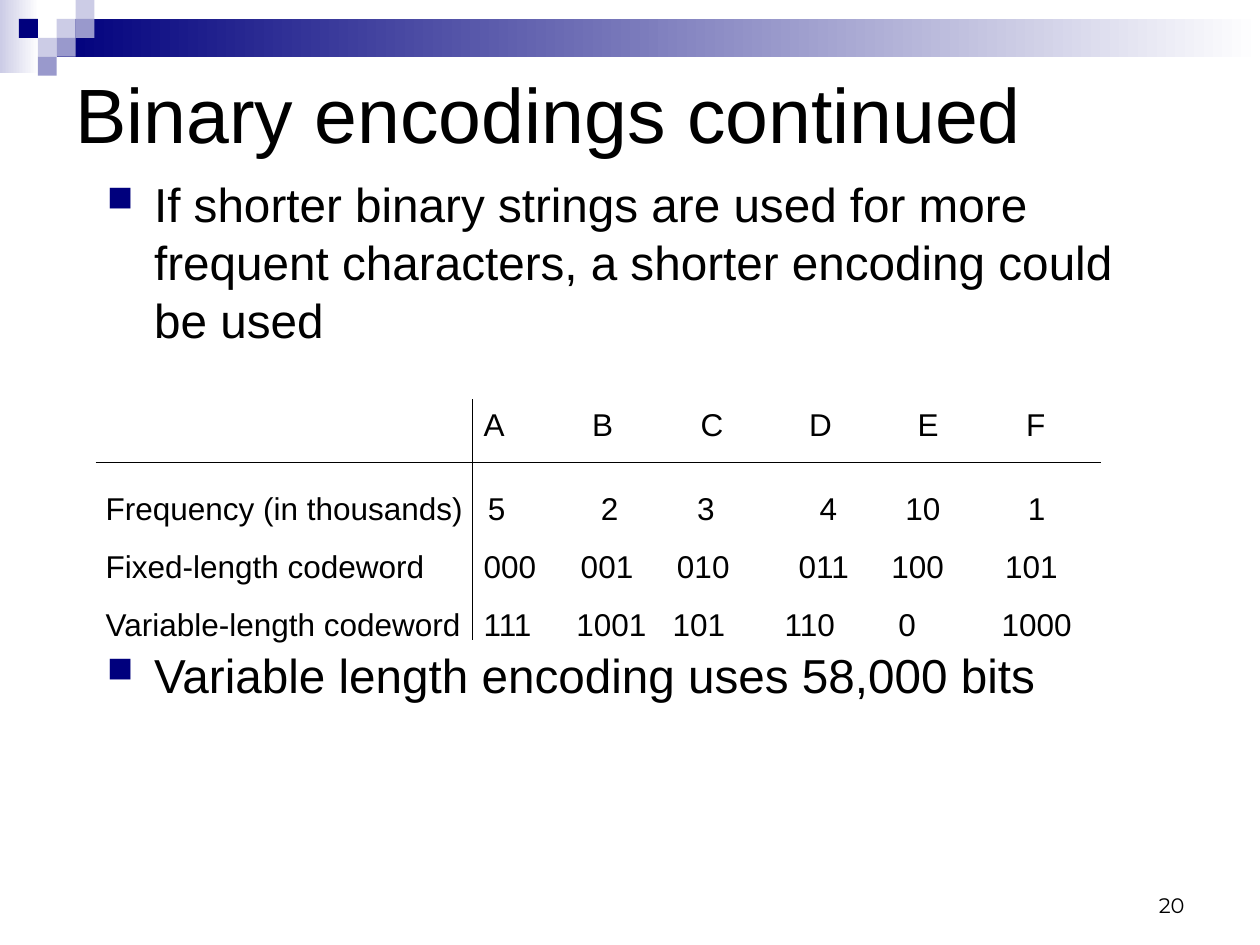
from lxml import etree
from pptx import Presentation
from pptx.dml.color import RGBColor
from pptx.enum.shapes import MSO_CONNECTOR, MSO_SHAPE
from pptx.enum.text import MSO_ANCHOR, PP_ALIGN
from pptx.oxml.ns import qn
from pptx.util import Pt

RECTANGLE = MSO_SHAPE.RECTANGLE
STRAIGHT = MSO_CONNECTOR.STRAIGHT
TOP, BOTTOM = MSO_ANCHOR.TOP, MSO_ANCHOR.BOTTOM
LEFT, RIGHT = PP_ALIGN.LEFT, PP_ALIGN.RIGHT

NAVY = RGBColor(0x00, 0x00, 0x7D)
LAVENDER = RGBColor(0xCC, 0xCC, 0xE6)
PERIWINKLE = RGBColor(0x99, 0x99, 0xCC)
WHITE = RGBColor(0xFF, 0xFF, 0xFF)
BLACK = RGBColor(0x00, 0x00, 0x00)

TILE = 10.8

presentation = Presentation()
presentation.slide_width, presentation.slide_height = Pt(720), Pt(540)
slide = presentation.slides.add_slide(presentation.slide_layouts[6])


def add_rectangle(left, top, width, height, *colors):
    """Add a borderless rectangle: one colour is solid, two make a gradient."""
    shape = slide.shapes.add_shape(RECTANGLE, Pt(left), Pt(top), Pt(width), Pt(height))
    shape.shadow.inherit = False
    shape.line.fill.background()
    if len(colors) == 1:
        shape.fill.solid()
        shape.fill.fore_color.rgb = colors[0]
    else:
        shape.fill.gradient()
        shape.fill.gradient_angle = 0
        for stop, color in zip(shape.fill.gradient_stops, colors):
            stop.color.rgb = color


def add_text(box, lines, size, font="Arial", anchor=TOP, tabs=(), bullet=False, **formats):
    """Add a text box; space_before applies from the second paragraph on."""
    frame = slide.shapes.add_textbox(*map(Pt, box)).text_frame
    frame.word_wrap = True
    frame.vertical_anchor = anchor
    for index, line in enumerate(lines):
        paragraph = frame.paragraphs[0] if index == 0 else frame.add_paragraph()
        properties = paragraph._p.get_or_add_pPr()
        if bullet:
            properties.set("marL", str(Pt(27)))
            properties.set("indent", str(-Pt(27)))
            color = etree.SubElement(properties, qn("a:buClr"))
            etree.SubElement(color, qn("a:srgbClr"), val=str(NAVY))
            etree.SubElement(properties, qn("a:buSzPct"), val="75000")
            etree.SubElement(properties, qn("a:buChar"), char="■")
        if tabs:
            tab_list = etree.SubElement(properties, qn("a:tabLst"))
            for position in tabs[index]:
                etree.SubElement(tab_list, qn("a:tab"), pos=str(Pt(position)), algn="l")
        for name, value in formats.items():
            if name != "space_before" or index > 0:
                setattr(paragraph, name, value)
        run = paragraph.add_run()
        run.text = line
        for name, value in {"name": font, "size": Pt(size)}.items():
            setattr(run.font, name, value)
        run.font.color.rgb = BLACK


# Header band
add_rectangle(0, 0, 22.3, 41.8, LAVENDER, WHITE)
add_rectangle(3 * TILE, TILE, 720 - 3 * TILE, 2 * TILE, NAVY, WHITE)

# Header tiles: column, row, colour
tiles = [
    (3, 1, LAVENDER), (4, 0, LAVENDER), (4, 1, PERIWINKLE), (2, 2, LAVENDER),
    (1, 1, NAVY), (3, 2, PERIWINKLE), (2, 3, PERIWINKLE),
]
for column, row, color in tiles:
    add_rectangle(column * TILE, row * TILE, TILE, TILE, color)

# Slide number, title and bullets
add_text((516.24, 491.76, 167.76, 36), ["20"], 12, "Montserrat", BOTTOM, alignment=RIGHT)
add_text((36, 18, 648, 76.3), ["Binary encodings continued"], 44, anchor=BOTTOM, alignment=LEFT)
bullets = [
    "If shorter binary strings are used for more frequent characters, "
    "a shorter encoding could be used",
    "Variable length encoding uses 58,000 bits",
]
add_text((54, 95.76, 612, 324), bullets, 27.2, bullet=True,
         line_spacing=Pt(33.1), space_before=Pt(170))

# Encoding rows: label and values, with the tab stops of each row
rows = [
    (["Frequency (in thousands)", "5", "2", "3", "4", "10", "1"],
     [218.5, 283, 338, 408, 457, 527]),
    (["Fixed-length codeword", "000", "001", "010", "011", "100", "101"],
     [216, 271.5, 326.5, 396, 449, 514]),
    (["Variable-length codeword", "111", "1001", "101", "110", "0", "1000"],
     [216, 269, 324, 388, 453, 512]),
]
add_text((53.28, 275.76, 594.72, 94.3), ["\t".join(cells) for cells, stops in rows], 18,
         tabs=[stops for cells, stops in rows],
         line_spacing=Pt(21.9), space_before=Pt(11.2))

# Character headings at equal steps
add_text((269.28, 227.52, 360.72, 28.8), ["\t".join("ABCDEF")], 18,
         tabs=[[62 * step for step in range(1, 6)]], line_spacing=Pt(21.9))

# Rules between headings, labels and values
for ends in [(54.72, 264.24, 629.28, 264.24), (270, 228.24, 270, 365.76)]:
    rule = slide.shapes.add_connector(STRAIGHT, *map(Pt, ends))
    rule.line.color.rgb = BLACK
    rule.line.width = Pt(1)
    etree.SubElement(rule._element.spPr, qn("a:effectLst"))

presentation.save("out.pptx")
